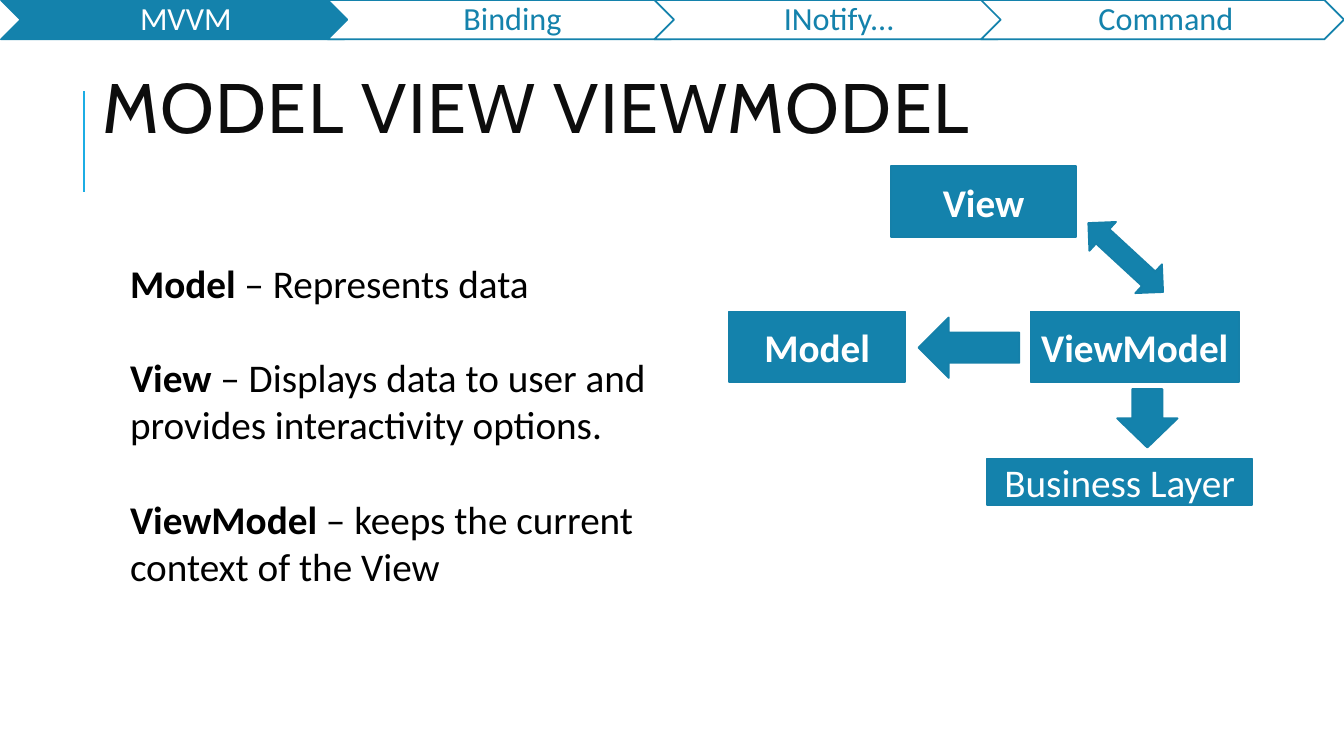
from dataclasses import dataclass

from lxml import etree
from pptx import Presentation
from pptx.dml.color import RGBColor
from pptx.enum.shapes import MSO_CONNECTOR, MSO_SHAPE
from pptx.enum.text import MSO_ANCHOR, PP_ALIGN
from pptx.oxml.ns import qn
from pptx.util import Inches, Pt

RECTANGLE, CHEVRON = MSO_SHAPE.RECTANGLE, MSO_SHAPE.CHEVRON
LEFT_ARROW, TWO_WAY_ARROW = MSO_SHAPE.LEFT_ARROW, MSO_SHAPE.LEFT_RIGHT_ARROW
STRAIGHT = MSO_CONNECTOR.STRAIGHT
MIDDLE, LEFT, CENTER = MSO_ANCHOR.MIDDLE, PP_ALIGN.LEFT, PP_ALIGN.CENTER


@dataclass(frozen=True)
class Theme:
    accent: str = "1482AC"
    outline: str = "1580A9"
    rule: str = "1CADE4"
    title: str = "0D0D0D"
    black: str = "000000"
    white: str = "FFFFFF"
    title_font: str = "Cabin"
    body_font: str = "Calibri"
    title_size: float = 50
    body_size: float = 28
    step_size: float = 23
    line_width: float = 1.25
    rule_width: float = 1.5


THEME = Theme()


def color(code):
    return RGBColor.from_string(code)


def format_span(span, size, code, bold=False, font=THEME.body_font):
    span.font.name = font
    span.font.size = Pt(size)
    span.font.bold = bold
    span.font.color.rgb = color(code)


def setup_frame(frame, insets):
    frame.word_wrap = True
    frame.vertical_anchor = MIDDLE
    (frame.margin_left, frame.margin_top,
     frame.margin_right, frame.margin_bottom) = map(Inches, insets)


def add_text(shapes, box, insets=(0.1, 0.05, 0.1, 0.05)):
    frame = shapes.add_textbox(*map(Inches, box)).text_frame
    setup_frame(frame, insets)
    return frame


def add_solid(shapes, kind, box, fill=THEME.accent, outline=THEME.outline):
    shape = shapes.add_shape(kind, *map(Inches, box))
    shape.shadow.inherit = False
    shape.fill.solid()
    shape.fill.fore_color.rgb = color(fill)
    shape.line.color.rgb = color(outline)
    shape.line.width = Pt(THEME.line_width)
    return shape


def add_title(page, box, text):
    left, top, width, height = box
    # Accent rule beside the title
    rule = page.shapes.add_connector(
        STRAIGHT, Inches(left), Inches(top + 1.5), Inches(left), Inches(top + 0.5))
    rule.line.color.rgb = color(THEME.rule)
    rule.line.width = Pt(THEME.rule_width)
    etree.SubElement(rule._element.spPr, qn("a:effectLst"))
    # Title text
    frame = add_text(page.shapes, (left + 0.09, top, width - 0.09, height))
    frame.text = text
    para = frame.paragraphs[0]
    para.line_spacing = 0.8
    span = para.runs[0]
    format_span(span, THEME.title_size, THEME.title, font=THEME.title_font)
    span.font._element.set("spc", "100")


def add_definitions(page, box, definitions):
    frame = add_text(page.shapes, box, (0.37, 0, 0.1, 0))
    for index, (term, meaning) in enumerate(definitions):
        para = frame.add_paragraph() if index else frame.paragraphs[0]
        para.alignment = LEFT
        para.space_before = Pt(34 if index else 0)
        for text, bold in ((term, True), (f" – {meaning}", False)):
            span = para.add_run()
            span.text = text
            format_span(span, THEME.body_size, THEME.black, bold)


def add_diagram(page, box, nodes, arrows):
    left, top, _, _ = box
    # Labelled blocks
    for text, bold, (x, y, width, height) in nodes:
        block = add_solid(page.shapes, RECTANGLE, (left + x, top + y, width, height))
        frame = block.text_frame
        setup_frame(frame, (0.05, 0.05, 0.05, 0.05))
        frame.text = text
        para = frame.paragraphs[0]
        para.alignment = CENTER
        format_span(para.runs[0], THEME.body_size, THEME.white, bold)
    # Block arrows
    for kind, rotation, (x, y, width, height) in arrows:
        arrow = add_solid(page.shapes, kind, (left + x, top + y, width, height))
        arrow.rotation = rotation


def add_step_bar(page, box, steps, active):
    left, top, width, height = box
    overlap = 0.36
    step_width = (width + overlap * (len(steps) - 1)) / len(steps)
    group = page.shapes.add_group_shape()
    for index, step in enumerate(steps):
        x = left + index * (step_width - overlap)
        fill, ink = THEME.white, THEME.accent
        if step == active:
            fill, ink = ink, fill
        add_solid(group.shapes, CHEVRON, (x, top, step_width, height),
                  fill, THEME.accent)
        label_box = (x + height / 2, top, step_width - height, height)
        frame = add_text(group.shapes, label_box, (0.1, 0.03, 0.03, 0.03))
        frame.text = step
        para = frame.paragraphs[0]
        para.alignment = CENTER
        para.line_spacing = 0.9
        format_span(para.runs[0], THEME.step_size, ink)


deck = Presentation()
deck.slide_width, deck.slide_height = Inches(13.33), Inches(7.5)
page = deck.slides.add_slide(deck.slide_layouts[6])

add_title(page, (0.83, 0.4, 11.59, 1.45), "MODEL VIEW VIEWMODEL")

add_definitions(page, (0.92, 2.56, 5.83, 3.3), [
    ("Model", "Represents data"),
    ("View", "Displays data to user and provides interactivity options."),
    ("ViewModel", "keeps the current context of the View"),
])

# Blocks and arrows are measured from the diagram's top left corner
add_diagram(page, (7.23, 1.65, 5.19, 3.36), nodes=[
    ("Model", True, (0, 1.44, 1.75, 0.7)),
    ("ViewModel", True, (2.99, 1.44, 2.07, 0.7)),
    ("View", True, (1.61, 0, 1.83, 0.7)),
    ("Business Layer", False, (2.56, 2.9, 2.63, 0.46)),
], arrows=[
    (TWO_WAY_ARROW, 42.7, (3.43, 0.71, 1.01, 0.39)),
    (LEFT_ARROW, 0, (1.88, 1.5, 1, 0.6)),
    (LEFT_ARROW, 270, (3.86, 2.2, 0.58, 0.6)),
])

add_step_bar(page, (0.01, 0, 13.32, 0.39),
             ["MVVM", "Binding", "INotify...", "Command"], active="MVVM")

deck.save("out.pptx")
